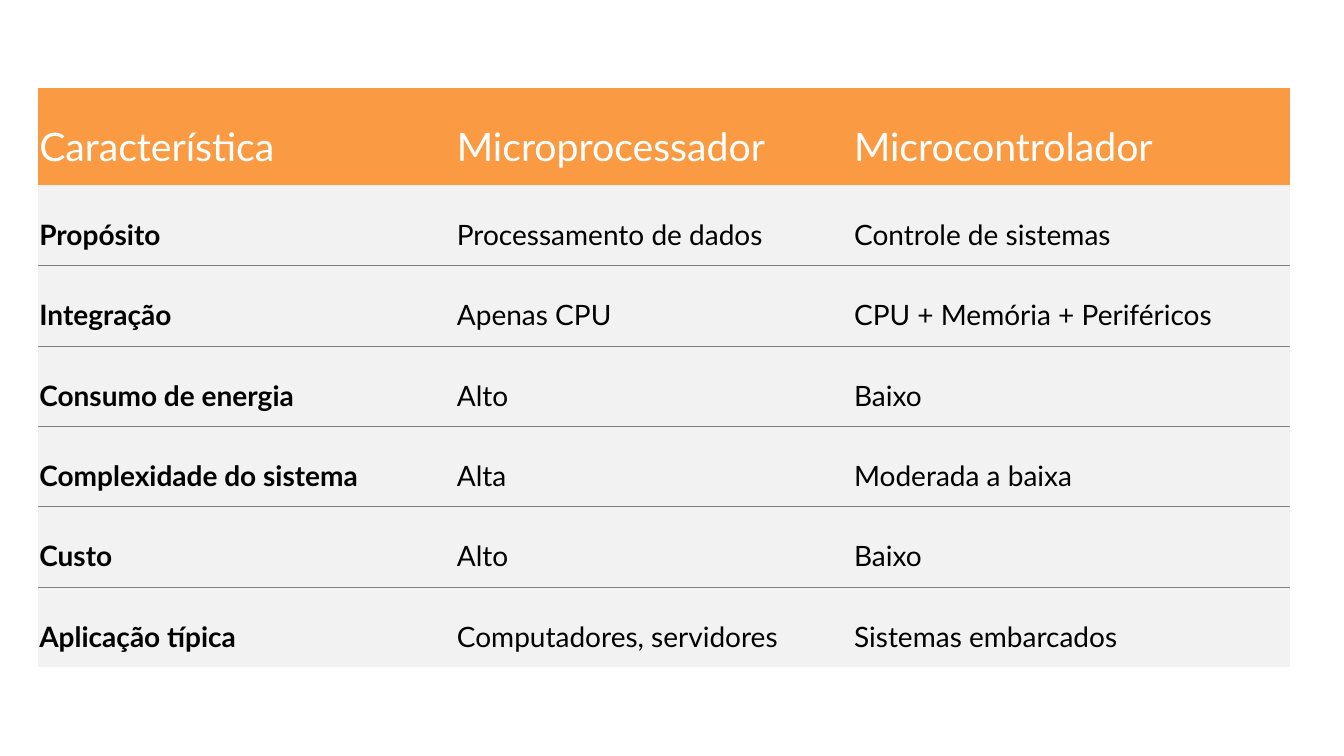
"""Build a slide with a table comparing microprocessors and microcontrollers."""
from dataclasses import dataclass

from lxml.etree import SubElement
from pptx import Presentation
from pptx.dml.color import RGBColor
from pptx.enum.text import MSO_VERTICAL_ANCHOR as Anchor
from pptx.oxml.ns import qn
from pptx.table import _Cell as Cell
from pptx.util import Pt

FONT = "Lato"
RULE_COLOR = "808080"
RULE_WIDTH = Pt(0.75)
TABLE_LEFT, TABLE_TOP = Pt(27.36), Pt(63)
COLUMN_WIDTHS = [Pt(298.3), Pt(283.7), Pt(312.3)]
CELL_FORMAT = {
    "margin_left": Pt(0.72),
    "margin_top": Pt(10.08),
    "margin_right": Pt(0.72),
    "margin_bottom": Pt(0.72),
    "vertical_anchor": Anchor.MIDDLE,
}
PARAGRAPH_FORMAT = {"line_spacing": 1.15, "space_after": Pt(8)}


@dataclass(frozen=True)
class RowStyle:
    height: Pt
    size: Pt
    color: str
    fill: str
    bold_label: bool


HEADER = RowStyle(Pt(69.4), Pt(28), "FFFFFF", "FA9A42", False)
BODY = RowStyle(Pt(57.4), Pt(20), "000000", "F2F2F2", True)

ROWS = [
    ("Característica", "Microprocessador", "Microcontrolador"),
    ("Propósito", "Processamento de dados", "Controle de sistemas"),
    ("Integração", "Apenas CPU", "CPU + Memória + Periféricos"),
    ("Consumo de energia", "Alto", "Baixo"),
    ("Complexidade do sistema", "Alta", "Moderada a baixa"),
    ("Custo", "Alto", "Baixo"),
    ("Aplicação típica", "Computadores, servidores", "Sistemas embarcados"),
]


def set_attributes(target: object, values: dict) -> None:
    for name, value in values.items():
        setattr(target, name, value)


def paint(target: object, color: str) -> None:
    target.solid()
    target.fore_color.rgb = RGBColor.from_string(color)


def set_borders(cell: Cell, ruled_sides: set[str]) -> None:
    properties = cell._tc.get_or_add_tcPr()
    for side in "LRTB":
        line = SubElement(properties, qn(f"a:ln{side}"), w=str(RULE_WIDTH))
        if side in ruled_sides:
            fill = SubElement(line, qn("a:solidFill"))
            SubElement(fill, qn("a:srgbClr"), val=RULE_COLOR)
        else:
            SubElement(line, qn("a:noFill"))


def fill_cell(cell: Cell, text: str, style: RowStyle, bold: bool, ruled_sides: set[str]) -> None:
    set_attributes(cell, CELL_FORMAT)
    set_borders(cell, ruled_sides)
    paint(cell.fill, style.fill)
    paragraph = cell.text_frame.paragraphs[0]
    set_attributes(paragraph, PARAGRAPH_FORMAT)
    run = paragraph.add_run()
    run.text = text
    set_attributes(run.font, {"name": FONT, "size": style.size, "bold": bold})
    paint(run.font.fill, style.color)


def add_comparison(slide: object) -> None:
    styles = [HEADER] + [BODY] * (len(ROWS) - 1)
    width = sum(COLUMN_WIDTHS)
    height = sum(style.height for style in styles)
    frame = slide.shapes.add_table(
        len(ROWS), len(COLUMN_WIDTHS), TABLE_LEFT, TABLE_TOP, width, height
    )
    table = frame.table
    table.horz_banding = False
    for column, column_width in zip(table.columns, COLUMN_WIDTHS):
        column.width = column_width
    last = len(ROWS) - 1
    for index, (texts, style) in enumerate(zip(ROWS, styles)):
        table.rows[index].height = style.height
        ruled_sides = set()
        if index > 1:
            ruled_sides.add("T")
        if 0 < index < last:
            ruled_sides.add("B")
        for position, text in enumerate(texts):
            bold = style.bold_label and position == 0
            fill_cell(table.cell(index, position), text, style, bold, ruled_sides)


def main() -> None:
    presentation = Presentation()
    presentation.slide_width, presentation.slide_height = Pt(960), Pt(540)
    slide = presentation.slides.add_slide(presentation.slide_layouts[6])
    add_comparison(slide)
    presentation.save("out.pptx")


if __name__ == "__main__":
    main()
